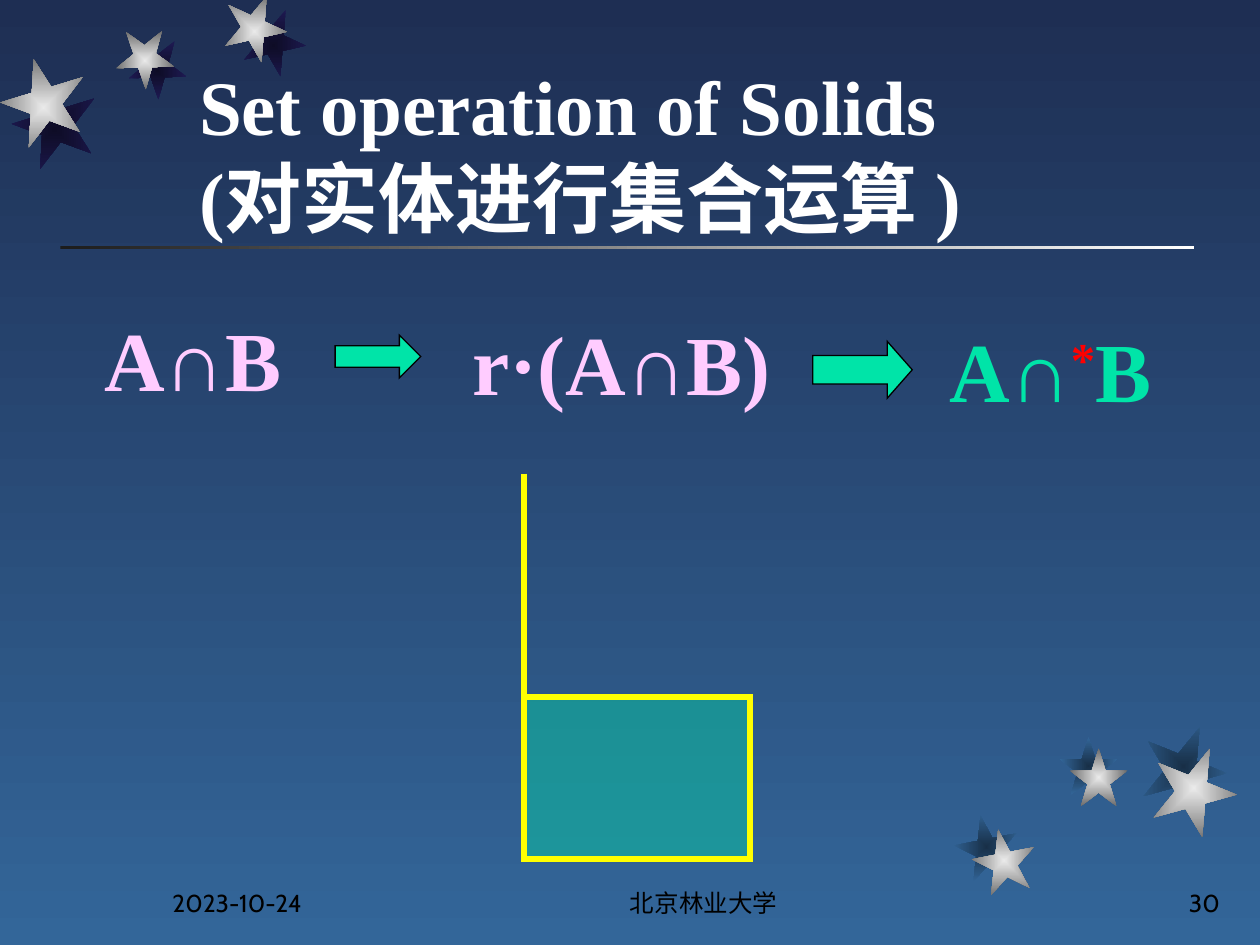
from typing import NamedTuple

from lxml.etree import SubElement
from pptx import Presentation
from pptx.dml.color import RGBColor
from pptx.enum.shapes import MSO_CONNECTOR, MSO_SHAPE
from pptx.enum.text import MSO_ANCHOR, MSO_AUTO_SIZE, PP_ALIGN
from pptx.oxml.ns import qn
from pptx.util import Inches, Pt

WHITE = RGBColor(0xFF, 0xFF, 0xFF)
BLACK = RGBColor(0x00, 0x00, 0x00)
CHARCOAL = RGBColor(0x1C, 0x1C, 0x1C)
NAVY = RGBColor(0x1E, 0x2E, 0x53)
BLUE = RGBColor(0x33, 0x66, 0x99)
GREEN = RGBColor(0x00, 0xE4, 0xA8)
PINK = RGBColor(0xFF, 0xCC, 0xFF)
RED = RGBColor(0xFF, 0x00, 0x00)
YELLOW = RGBColor(0xFF, 0xFF, 0x00)
SILVER = (RGBColor(0xEA, 0xEA, 0xEA), RGBColor(0x6C, 0x6C, 0x6C))
TOP_SHADE = (RGBColor(0x0E, 0x0C, 0x26), RGBColor(0x1E, 0x1A, 0x53))
LOW_SHADE = (RGBColor(0x18, 0x2F, 0x47), BLUE)
SERIF, SANS = "Times New Roman", "Cabin"


class Star(NamedTuple):
    left: float
    top: float
    size: float
    angle: float
    shade_dx: float
    shade_dy: float


class Run(NamedTuple):
    text: str
    color: RGBColor
    baseline: int = 0


class Label(NamedTuple):
    left: float
    top: float
    width: float
    height: float
    runs: list[Run]
    font: str = SERIF
    size: int = 48
    bold: bool = True
    align: PP_ALIGN = PP_ALIGN.LEFT
    anchor: MSO_ANCHOR = MSO_ANCHOR.TOP


class Arrow(NamedTuple):
    left: float
    top: float
    width: float
    height: float
    head: float


TOP_STARS = [
    Star(1.77, 0, 0.5, 167.3, 0.15, 0.11),
    Star(0.92, 0.25, 0.46, 178.3, 0.1, 0.08),
    Star(0.01, 0.52, 0.67, 200.3, 0.09, 0.17),
]
LOW_STARS = [
    Star(7.72, 6.58, 0.5, 349, -0.14, -0.11),
    Star(8.49, 5.94, 0.46, 0, -0.08, -0.09),
    Star(9.14, 5.92, 0.67, 22, -0.08, -0.17),
]
FORMULAS = [
    Label(0.73, 2.39, 1.7, 0.9, [Run("A∩B", PINK)]),
    Label(3.65, 2.42, 2.69, 0.9, [Run("r·(A∩B)", PINK)]),
    Label(7.44, 2.48, 2.17, 0.9,
          [Run("A∩", GREEN), Run("*", RED, 30000), Run("B", GREEN)]),
]
FOOTERS = [
    Label(left, 6.83, width, 0.5, [Run(text, BLACK)], SANS, 14, False, align,
          MSO_ANCHOR.BOTTOM)
    for left, width, text, align in [
        (1.27, 2.08, "2023-10-24", PP_ALIGN.LEFT),
        (4, 3.17, "北京林业大学", PP_ALIGN.CENTER),
        (7.7, 2.08, "30", PP_ALIGN.RIGHT),
    ]
]
ARROWS = [Arrow(2.66, 2.66, 0.68, 0.34, 0.5), Arrow(6.45, 2.71, 0.79, 0.45, 0.44)]


def set_gradient(fill, colors: tuple, angle: float = 0) -> None:
    fill.gradient()
    fill.gradient_angle = angle
    for stop, color in zip(fill.gradient_stops, colors):
        stop.color.rgb = color


def add_shape(s, kind, left: float, top: float, width: float, height: float):
    sp = s.shapes.add_shape(kind, Inches(left), Inches(top),
                            Inches(width), Inches(height))
    sp.shadow.inherit = False
    sp.line.fill.background()
    return sp


def set_line(sp, color: RGBColor, width: float) -> None:
    sp.line.color.rgb = color
    sp.line.width = Pt(width)
    # Square corners
    SubElement(sp.element.spPr.find(qn("a:ln")), qn("a:miter"), lim="800000")


def add_star(s, star: Star, colors: tuple, dx: float = 0, dy: float = 0) -> None:
    sp = add_shape(s, MSO_SHAPE.STAR_5_POINT, star.left + dx, star.top + dy,
                   star.size, star.size)
    sp.rotation = star.angle
    set_gradient(sp.fill, colors)
    # Radiate the gradient from the centre
    grad = sp.element.spPr.find(qn("a:gradFill"))
    grad.remove(grad.find(qn("a:lin")))
    radial = SubElement(grad, qn("a:path"), {"path": "rect"})
    SubElement(radial, qn("a:fillToRect"), dict.fromkeys("ltrb", "50000"))


def add_star_group(s, stars: list[Star], shade: tuple) -> None:
    for star in stars:
        add_star(s, star, shade, star.shade_dx, star.shade_dy)
    for star in stars:
        add_star(s, star, SILVER)


def style_run(r, font: str, size: int, bold: bool, color: RGBColor) -> None:
    r.font.name = font
    r.font.size = Pt(size)
    r.font.bold = bold
    r.font.color.rgb = color


def add_label(s, label: Label) -> None:
    box = s.shapes.add_textbox(Inches(label.left), Inches(label.top),
                               Inches(label.width), Inches(label.height))
    tf = box.text_frame
    tf.word_wrap = True
    tf.vertical_anchor = label.anchor
    p = tf.paragraphs[0]
    p.alignment = label.align
    for run in label.runs:
        r = p.add_run()
        r.text = run.text
        style_run(r, label.font, label.size, label.bold, run.color)
        if run.baseline:
            r.font._element.set("baseline", str(run.baseline))


def add_title(s) -> None:
    title = s.shapes.title
    title.left, title.top = Inches(1.48), Inches(0.38)
    title.width, title.height = Inches(7.5), Inches(1.6)
    tf = title.text_frame
    tf.text = "Set operation of Solids\v(对实体进行集合运算 )"
    tf.auto_size = MSO_AUTO_SIZE.NONE
    tf.vertical_anchor = MSO_ANCHOR.BOTTOM
    p = tf.paragraphs[0]
    p.alignment = PP_ALIGN.LEFT
    for r in p.runs:
        style_run(r, SERIF, 44, True, WHITE)


def add_arrow(s, arrow: Arrow) -> None:
    sp = add_shape(s, MSO_SHAPE.RIGHT_ARROW, *arrow[:4])
    sp.adjustments[0], sp.adjustments[1] = 0.5, arrow.head
    sp.fill.solid()
    sp.fill.fore_color.rgb = GREEN
    set_line(sp, BLACK, 0.75)


def add_solid(s) -> None:
    """Translucent rectangle with a dangling edge above its left side."""
    sp = add_shape(s, MSO_SHAPE.RECTANGLE, 4.16, 5.53, 1.79, 1.29)
    sp.fill.solid()
    sp.fill.fore_color.rgb = GREEN
    color = sp.element.spPr.find(qn("a:solidFill"))[0]
    SubElement(color, qn("a:alpha"), val="40000")
    set_line(sp, YELLOW, 3.5)
    edge = s.shapes.add_connector(MSO_CONNECTOR.STRAIGHT, Inches(4.16), Inches(3.76),
                                  Inches(4.16), Inches(5.55))
    set_line(edge, YELLOW, 3.5)
    SubElement(edge.element.spPr, qn("a:effectLst"))


def main() -> None:
    prs = Presentation()
    prs.slide_width, prs.slide_height = Inches(10), Inches(7.5)
    s = prs.slides.add_slide(prs.slide_layouts[5])

    # Background, title rule and stars
    set_gradient(s.background.fill, (NAVY, BLUE), 270)
    rule = add_shape(s, MSO_SHAPE.RECTANGLE, 0.48, 1.95, 9, 0.03)
    set_gradient(rule.fill, (CHARCOAL, WHITE))
    add_star_group(s, TOP_STARS, TOP_SHADE)
    add_star_group(s, LOW_STARS, LOW_SHADE)

    # Title, formulas and footer
    add_title(s)
    for label in FORMULAS + FOOTERS:
        add_label(s, label)

    # Arrows between the formulas, and the resulting solid
    for arrow in ARROWS:
        add_arrow(s, arrow)
    add_solid(s)
    prs.save("out.pptx")


if __name__ == "__main__":
    main()
